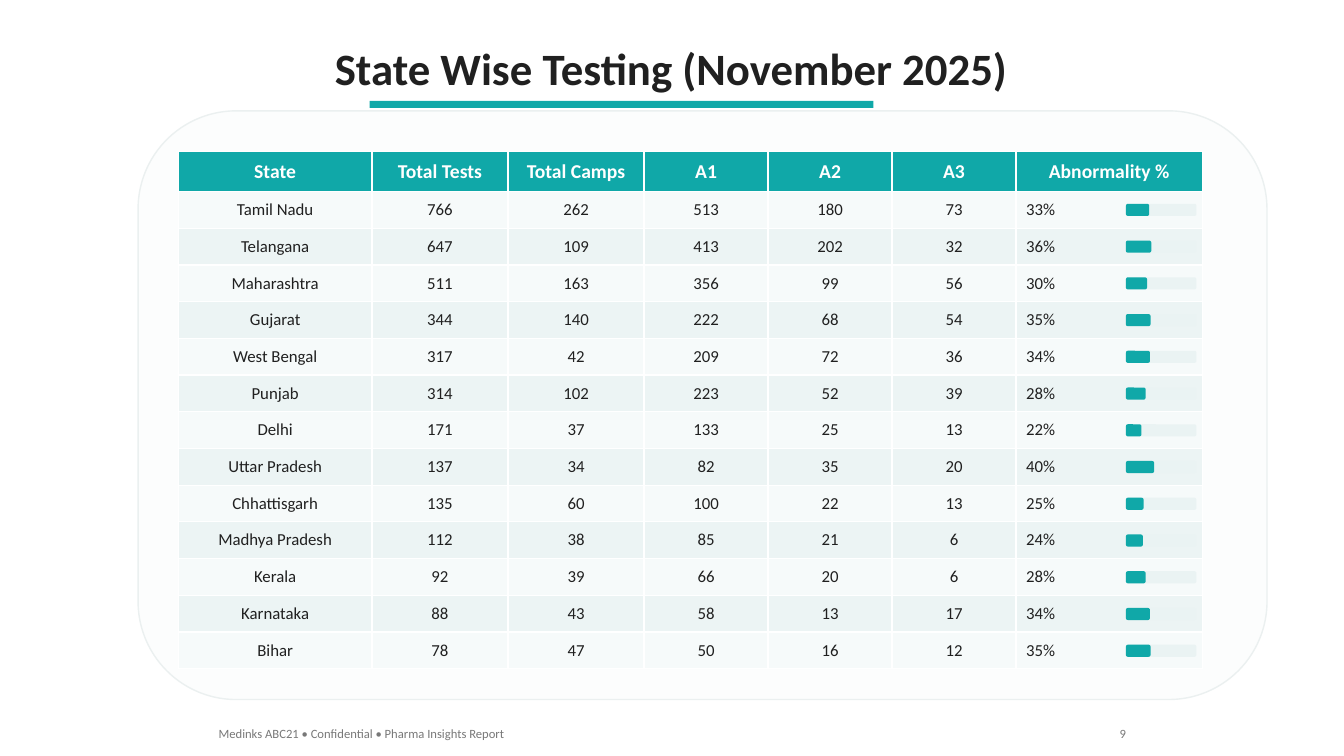
from pptx import Presentation
from pptx.dml.color import RGBColor
from pptx.enum import shapes, text
from pptx.util import Pt

HUES = {
    "teal": "10A8A8", "ink": "202020", "white": "FFFFFF", "grey": "787878",
    "panel": "FCFDFD", "edge": "EBF0F0", "track": "EAF3F3",
    "odd": "F6FAFA", "even": "ECF4F4",
}
KIND = shapes.MSO_SHAPE
SIDE = text.PP_ALIGN


def add_box(kind, left, top, width, height, hue):
    box = deck.shapes.add_shape(kind, Pt(left), Pt(top), Pt(width), Pt(height))
    box.shadow.inherit = False
    box.fill.solid()
    box.fill.fore_color.rgb = RGBColor.from_string(HUES[hue])
    box.line.fill.background()
    return box


def add_run(frame, words, size, hue, side, bold=False):
    para = frame.paragraphs[0]
    para.alignment = side
    run = para.add_run()
    run.text = words
    run.font.name = "Calibri"
    run.font.size = Pt(size)
    run.font.bold = bold
    run.font.color.rgb = RGBColor.from_string(HUES[hue])


show = Presentation()
show.slide_width = Pt(960)
show.slide_height = Pt(540)
deck = show.slides.add_slide(show.slide_layouts[5])

title = deck.shapes.title
title.left, title.top = Pt(229.68), Pt(25.2)
title.width, title.height = Pt(499.68), Pt(46.08)
frame = title.text_frame
frame.word_wrap = False
frame.auto_size = text.MSO_AUTO_SIZE.NONE
frame.vertical_anchor = text.MSO_ANCHOR.MIDDLE
add_run(frame, "State Wise Testing (November 2025)", 32, "ink", SIDE.CENTER, True)

add_box(KIND.RECTANGLE, 264, 72, 360, 5.04, "teal")
panel = add_box(KIND.ROUNDED_RECTANGLE, 98.64, 79.2, 806.4, 420.48, "panel")
panel.line.color.rgb = RGBColor.from_string(HUES["edge"])
panel.line.width = Pt(1)

heads = ["State", "Total Tests", "Total Camps", "A1", "A2", "A3", "Abnormality %"]
states = [
    ("Tamil Nadu", 766, 262, 513, 180, 73, 33),
    ("Telangana", 647, 109, 413, 202, 32, 36),
    ("Maharashtra", 511, 163, 356, 99, 56, 30),
    ("Gujarat", 344, 140, 222, 68, 54, 35),
    ("West Bengal", 317, 42, 209, 72, 36, 34),
    ("Punjab", 314, 102, 223, 52, 39, 28),
    ("Delhi", 171, 37, 133, 25, 13, 22),
    ("Uttar Pradesh", 137, 34, 82, 35, 20, 40),
    ("Chhattisgarh", 135, 60, 100, 22, 13, 25),
    ("Madhya Pradesh", 112, 38, 85, 21, 6, 24),
    ("Kerala", 92, 39, 66, 20, 6, 28),
    ("Karnataka", 88, 43, 58, 13, 17, 34),
    ("Bihar", 78, 47, 50, 16, 12, 35),
]
widths = [138.24, 97.2, 97.2, 88.56, 88.56, 88.56, 133.2]
left, top, head, step = 127.44, 108, 28.8, 26.24

grid = deck.shapes.add_table(
    len(states) + 1, len(heads), Pt(left), Pt(top),
    Pt(sum(widths)), Pt(head + step * len(states)),
).table
for col, width in zip(grid.columns, widths):
    col.width = Pt(width)
for r, values in enumerate([heads] + states):
    grid.rows[r].height = Pt(step if r else head)
    for c, value in enumerate(values):
        cell = grid.cell(r, c)
        cell.vertical_anchor = text.MSO_ANCHOR.MIDDLE
        cell.fill.solid()
        band = ("odd" if r % 2 else "even") if r else "teal"
        cell.fill.fore_color.rgb = RGBColor.from_string(HUES[band])
        rate = r > 0 and c == len(heads) - 1
        words = f"{value}%" if rate else str(value)
        side = SIDE.LEFT if rate else SIDE.CENTER
        add_run(cell.text_frame, words, 12 if r else 14, "ink" if r else "white", side, r == 0)

track, thick = 50.4, 8.64
for i, values in enumerate(states):
    y = top + head + step * i + (step - thick) / 2
    for width, hue in ((track, "track"), (track * values[-1] / 100, "teal")):
        add_box(KIND.ROUNDED_RECTANGLE, 804.24, y, width, thick, hue)

notes = [
    ("Medinks ABC21 • Confidential • Pharma Insights Report", 149.04, 219.6, SIDE.LEFT),
    ("9", 792, 19.44, SIDE.RIGHT),
]
for words, x, width, side in notes:
    frame = deck.shapes.add_textbox(Pt(x), Pt(514.8), Pt(width), Pt(18)).text_frame
    frame.word_wrap = False
    frame.auto_size = text.MSO_AUTO_SIZE.SHAPE_TO_FIT_TEXT
    add_run(frame, words, 9, "grey", side)

show.save("out.pptx")
